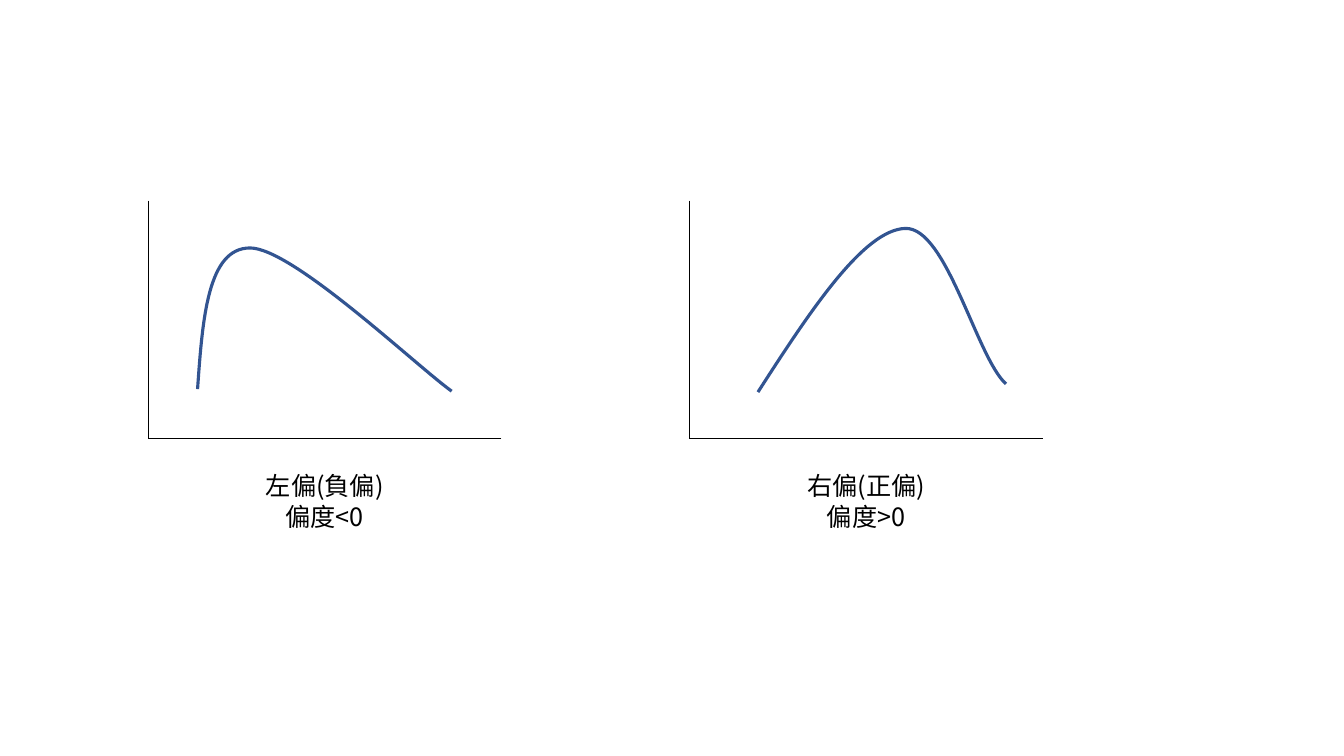
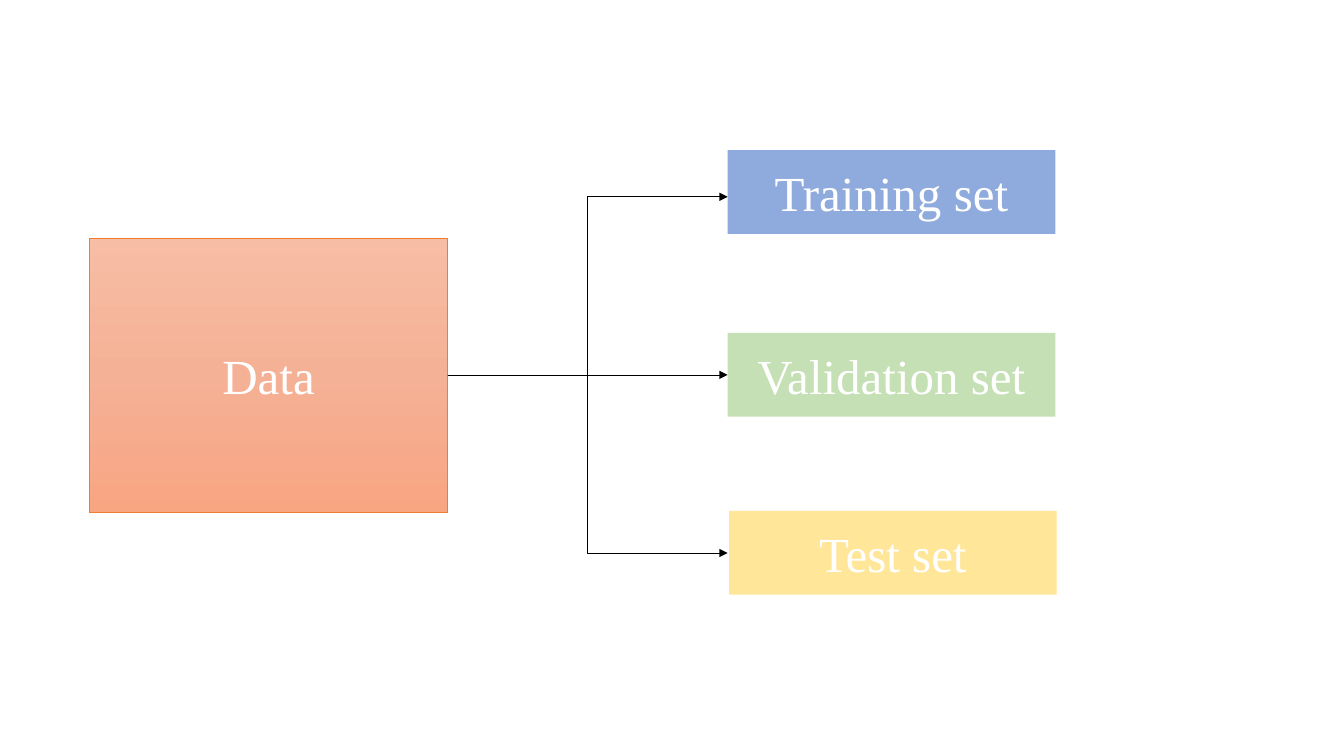
"""Build two slides: skewed distributions and a data split."""
from copy import deepcopy

from lxml import etree
from pptx import Presentation
from pptx import util as u
from pptx.dml.color import RGBColor
from pptx.enum import shapes, text
from pptx.oxml.ns import qn

COLORS = {
    "black": "000000", "white": "FFFFFF", "curve": "325491",
    "data_top": "F7BDA5", "data_mid": "F5B196", "data_bottom": "F8A582",
    "data_line": "ED7D31", "training": "8FAADC",
    "validation": "C5E0B4", "test": "FFE699",
}
CJK_FONT = "Noto Sans CJK JP"
LATIN_FONT = "Times New Roman"

PANEL_W = 252.4
AXIS_TOP, AXIS_BOTTOM = 143.3, 313.2
PANELS = [
    (105.8, ["左偏(負偏)", "偏度<0"],
     [(141.1, 277.9), (144.7, 227.5), (148.3, 177.1), (178.6, 177.1),
      (208.8, 177.1), (296.6, 260.6), (322.6, 279.4)]),
    (492.5, ["右偏(正偏)", "偏度>0"],
     [(541.4, 280.1), (578.9, 221.8), (617, 164.2), (646.6, 163.2),
      (676.1, 162), (697.7, 255.6), (718.6, 274.3)]),
]

DATA_BOX = (64, 169.9, 255.8, 195.8)
SET_W, SET_H = 234, 59.8
SETS = [
    ("Training set", "training", 519.8, 107.3),
    ("Validation set", "validation", 519.8, 237.8),
    ("Test set", "test", 520.8, 365),
]
ARROW_END, ARROW_STEP = 519.8, 127.2


def rgb(name):
    """Return the named colour."""
    return RGBColor.from_string(COLORS[name])


def pts(*values):
    """Convert numbers to point lengths."""
    return [u.Pt(v) for v in values]


def set_text(tf, lines, size, font, color):
    """Fill a text frame with centred lines in one style."""
    tf.word_wrap = True
    tf.text = "\n".join(lines)
    for p in tf.paragraphs:
        p.alignment = text.PP_ALIGN.CENTER
        for r in p.runs:
            r.font.size = u.Pt(size)
            r.font.name = font
            r.font.color.rgb = rgb(color)
            ea = etree.SubElement(r.font._element, qn("a:ea"))
            ea.set("typeface", font)


def add_line(s, kind, start, end, width, arrow=False):
    """Add a black connector, with an arrowhead if asked."""
    cx = s.shapes.add_connector(kind, *pts(*start, *end))
    cx.line.color.rgb = rgb("black")
    cx.line.width = u.Pt(width)
    if arrow:
        ln = cx.line._get_or_add_ln()
        etree.SubElement(ln, qn("a:tailEnd")).set("type", "triangle")
    etree.SubElement(cx._element.spPr, qn("a:effectLst"))


def add_curve(s, points):
    """Add a smooth curve through a chain of cubic Bezier points."""
    fb = s.shapes.build_freeform(*pts(*points[0]))
    fb.add_line_segments([pts(*pt) for pt in points[1:]], close=False)
    sp = fb.convert_to_shape()
    sp.shadow.inherit = False
    sp.fill.background()
    sp.line.color.rgb = rgb("curve")
    sp.line.width = u.Pt(2.25)
    segments = list(sp._element.iter(qn("a:lnTo")))
    for i in range(0, len(segments), 3):
        bezier = etree.Element(qn("a:cubicBezTo"))
        segments[i].addprevious(bezier)
        for segment in segments[i:i + 3]:
            bezier.append(segment[0])
            segment.getparent().remove(segment)


def add_caption(s, x, lines):
    """Add a centred caption below a panel."""
    tb = s.shapes.add_textbox(*pts(x, 332.6, PANEL_W, 51))
    set_text(tb.text_frame, lines, 18, CJK_FONT, "black")


def add_box(s, label, x, y, w, h):
    """Add a labelled rectangle without a line."""
    sp = s.shapes.add_shape(shapes.MSO_SHAPE.RECTANGLE, *pts(x, y, w, h))
    sp.shadow.inherit = False
    sp.line.fill.background()
    tf = sp.text_frame
    tf.vertical_anchor = text.MSO_ANCHOR.MIDDLE
    set_text(tf, [label], 35, LATIN_FONT, "white")
    return sp


def fill_gradient(sp, names):
    """Fill a shape from top to bottom with three evenly spaced colours."""
    sp.fill.gradient()
    sp.fill.gradient_angle = 270
    stops = sp._element.spPr.find(".//" + qn("a:gsLst"))
    stops.insert(1, deepcopy(stops[0]))
    for i, (stop, name) in enumerate(zip(sp.fill.gradient_stops, names)):
        stop.position = i / 2
        stop.color.rgb = rgb(name)


def build_skewness(s):
    """Draw the two skewed distributions."""
    straight = shapes.MSO_CONNECTOR.STRAIGHT
    for x, lines, points in PANELS:
        origin = (x, AXIS_BOTTOM)
        add_line(s, straight, (x, AXIS_TOP), origin, 0.75)
        add_line(s, straight, (x + PANEL_W, AXIS_BOTTOM), origin, 0.75)
        add_curve(s, points)
        add_caption(s, x, lines)


def build_split(s):
    """Draw the data box and the three sets it splits into."""
    data = add_box(s, "Data", *DATA_BOX)
    fill_gradient(data, ["data_top", "data_mid", "data_bottom"])
    data.line.color.rgb = rgb("data_line")
    data.line.width = u.Pt(0.5)
    x, y, w, h = DATA_BOX
    start = (x + w, y + h / 2)
    for i, (label, color, left, top) in enumerate(SETS):
        end = (ARROW_END, start[1] + (i - 1) * ARROW_STEP)
        add_line(s, shapes.MSO_CONNECTOR.ELBOW, start, end, 0.5, arrow=True)
        sp = add_box(s, label, left, top, SET_W, SET_H)
        sp.fill.solid()
        sp.fill.fore_color.rgb = rgb(color)


def main():
    """Build and save the presentation."""
    prs = Presentation()
    prs.slide_width, prs.slide_height = pts(960, 540)
    for build in (build_skewness, build_split):
        build(prs.slides.add_slide(prs.slide_layouts[6]))
    prs.save("out.pptx")


if __name__ == "__main__":
    main()
